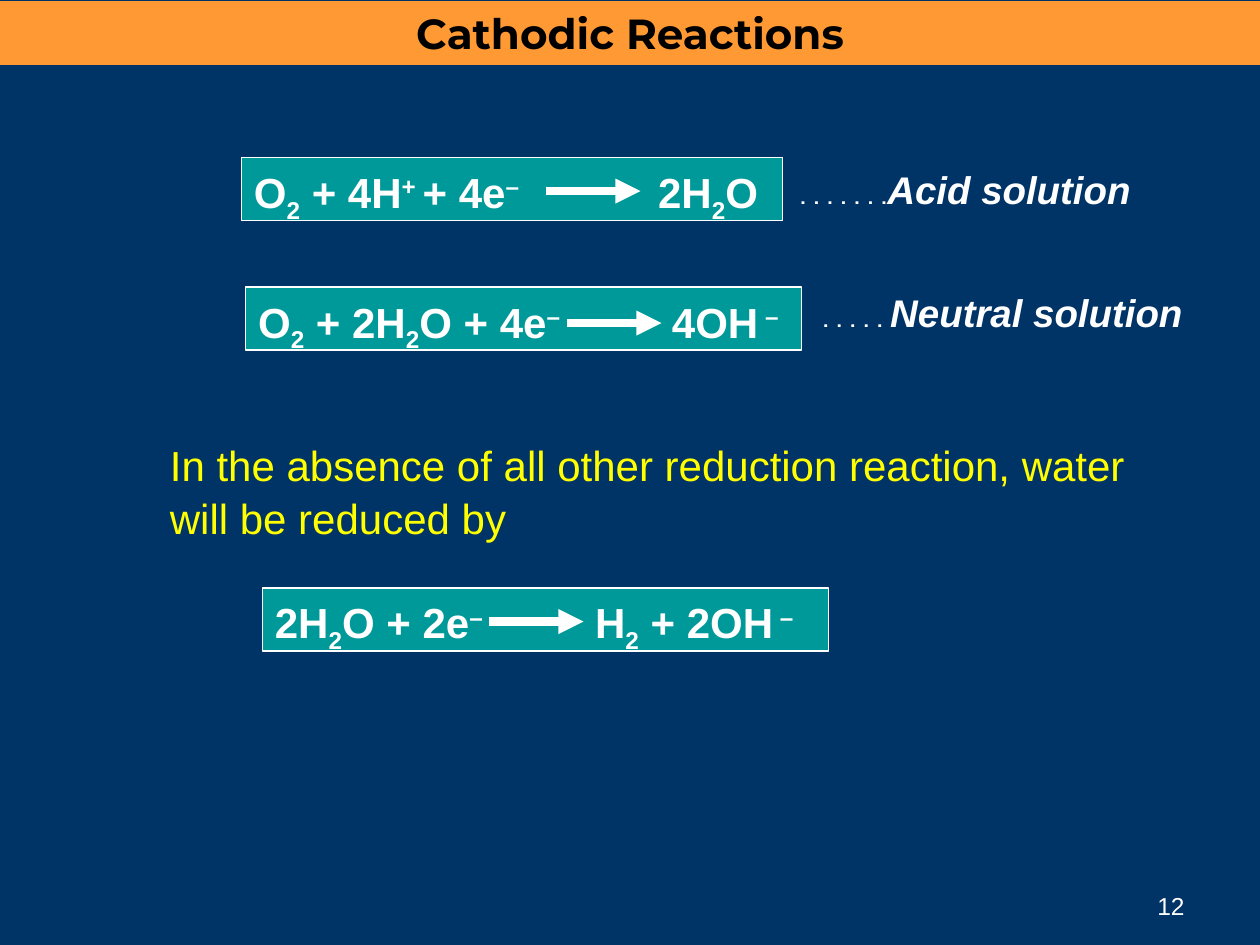
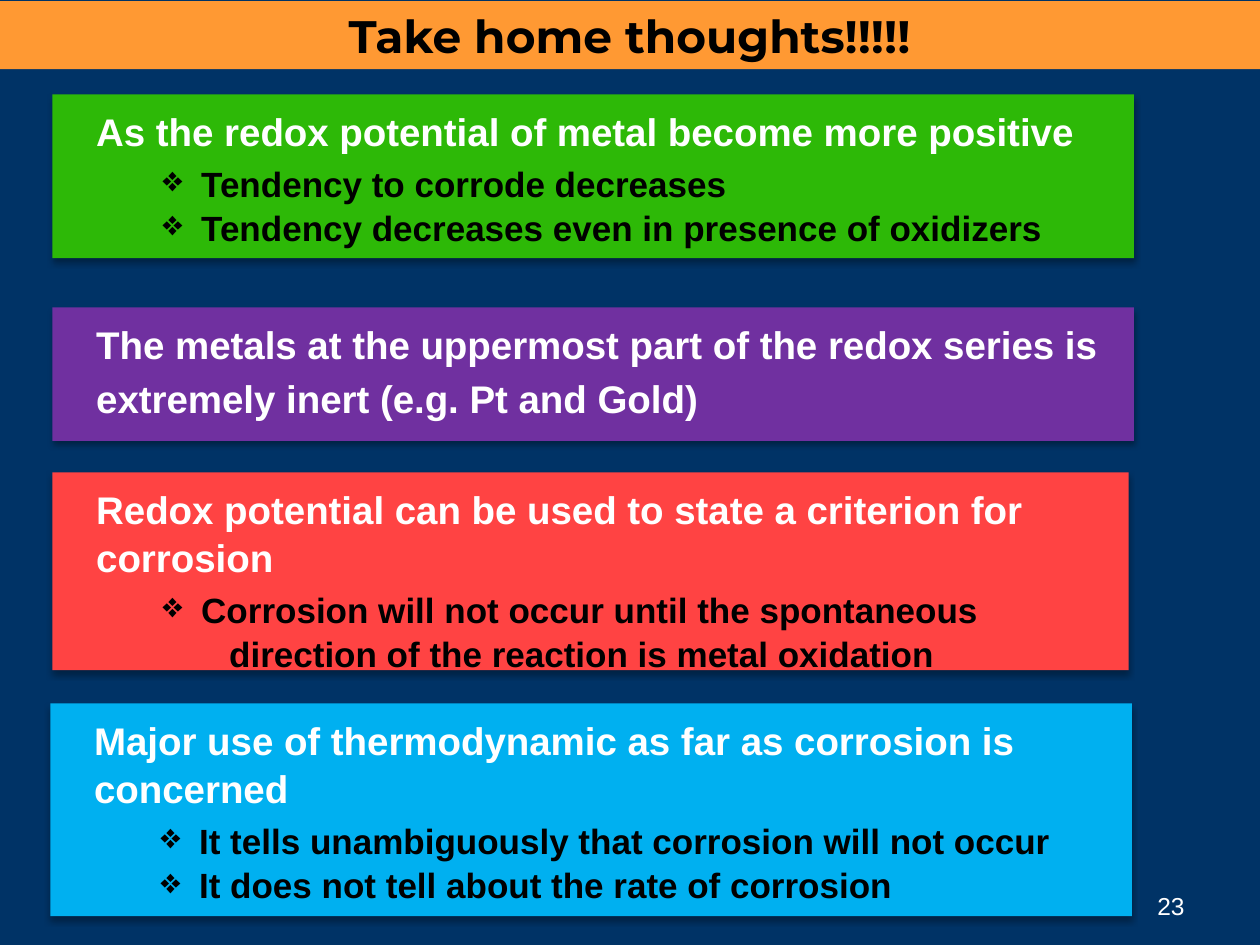
from dataclasses import dataclass
from enum import Enum

from lxml.etree import SubElement
from pptx import Presentation
from pptx.dml.color import RGBColor
from pptx.enum.shapes import MSO_CONNECTOR as Connector, MSO_SHAPE as Shape
from pptx.enum.text import MSO_ANCHOR as Anchor, PP_ALIGN as Align
from pptx.oxml.ns import qn
from pptx.util import Pt

COLORS = {
    "navy": "003366", "orange": "FF9933", "teal": "009999",
    "white": "FFFFFF", "black": "000000", "yellow": "FFFF00",
    "green": "2DB907", "purple": "7030A0", "red": "FF4343", "blue": "00B0F0",
}
BODY_FONT, TITLE_FONT, DOT_FONT = "Arial", "Montserrat", "Cabin"
SLIDE_WIDTH, SLIDE_HEIGHT = 720, 540
LINE_SPACING = 1.05
BASELINES = {"_": "-25000", "^": "30000"}
ARROW_LENGTH = 54


class Style(Enum):
    """Size, colour, left margin, first-line indent, space after."""
    LEAD = (22, "white", 0, 0, 0)
    HEAD = (22, "white", 0, 0, 3.5)
    BULLET = (20, "black", 60, -22, 0)
    CONTINUED = (20, "black", 76, 0, 0)


@dataclass
class Equation:
    left: float
    top: float
    width: float
    formula: str      # parts split by |, with _ for subscript and ^ for superscript
    product_tab: float
    arrow_left: float
    arrow_top: float


@dataclass
class Label:
    left: float
    top: float
    dots: str
    text: str


@dataclass
class Card:
    left: float
    top: float
    width: float
    height: float
    color: str
    lines: list[tuple[Style, str]]


EQUATIONS = [
    Equation(138, 90, 309, "O|_2| + 4H|^+ |+ 4e|^–|\t2H|_2|O", 231, 312, 109.2),
    Equation(140.4, 164, 317.5, "O|_2| + 2H|_2|O + 4e|^–|\t4OH|^ –", 236.5, 324, 184.6),
    Equation(150, 336, 323.5, "2H|_2|O + 2e|^–|\tH|_2| + 2OH|^ –", 183, 279.4, 355.2),
]
LABELS = [
    Label(450, 90, ". . . . . . .", "Acid solution"),
    Label(463, 160.5, ". . . . . ", "Neutral solution"),
]
CARDS = [
    Card(30, 54, 618, 93.6, "green", [
        (Style.HEAD, "As the redox potential of metal become more positive"),
        (Style.BULLET, "Tendency to corrode decreases"),
        (Style.BULLET, "Tendency decreases even in presence of oxidizers"),
    ]),
    Card(30, 175.6, 618, 76.4, "purple", [
        (Style.HEAD, "The metals at the uppermost part of the redox series is"),
        (Style.HEAD, "extremely inert (e.g. Pt and Gold)"),
    ]),
    Card(30, 270, 615, 113, "red", [
        (Style.LEAD, "Redox potential can be used to state a criterion for"),
        (Style.HEAD, "corrosion"),
        (Style.BULLET, "Corrosion will not occur until the spontaneous"),
        (Style.CONTINUED, "direction of the reaction is metal oxidation"),
    ]),
    Card(28.8, 402, 618, 121.6, "blue", [
        (Style.LEAD, "Major use of thermodynamic as far as corrosion is"),
        (Style.HEAD, "concerned"),
        (Style.BULLET, "It tells unambiguously that corrosion will not occur"),
        (Style.BULLET, "It does not tell about the rate of corrosion"),
    ]),
]


def rgb(name: str) -> RGBColor:
    return RGBColor.from_string(COLORS[name])


def format_span(span, size: float, color: str, font: str = BODY_FONT,
                bold: bool = False, italic: bool = False) -> None:
    span.font.name, span.font.size = font, Pt(size)
    span.font.bold, span.font.italic = bold, italic
    span.font.color.rgb = rgb(color)


def add_span(para, text: str):
    span = para.add_run()
    span.text = text
    return span


def add_box(page, left: float, top: float, width: float, height: float,
            fill: str, outline: str | None = None):
    box = page.shapes.add_shape(Shape.RECTANGLE, Pt(left), Pt(top), Pt(width), Pt(height))
    box.shadow.inherit = False
    box.fill.solid()
    box.fill.fore_color.rgb = rgb(fill)
    if outline:
        box.line.color.rgb = rgb(outline)
        box.line.width = Pt(0.75)
    else:
        box.line.fill.background()
    return box


def add_text(page, left: float, top: float, width: float, height: float):
    box = page.shapes.add_textbox(Pt(left), Pt(top), Pt(width), Pt(height))
    box.text_frame.word_wrap = False
    return box.text_frame


def add_page(deck, title: str, title_size: float, band_height: float, number: int):
    """Start a slide with its background, title band and page number."""
    page = deck.slides.add_slide(deck.slide_layouts[6])
    page.background.fill.solid()
    page.background.fill.fore_color.rgb = rgb("navy")

    band = add_box(page, 0, 0.7, SLIDE_WIDTH, band_height, "orange")
    band.text_frame.text = title
    para = band.text_frame.paragraphs[0]
    para.alignment = Align.CENTER
    format_span(para.runs[0], title_size, "black", TITLE_FONT, bold=True)

    frame = add_text(page, 516, 492, 168, 37.5)
    frame.word_wrap = True
    frame.vertical_anchor = Anchor.BOTTOM
    frame.text = str(number)
    frame.paragraphs[0].alignment = Align.RIGHT
    format_span(frame.paragraphs[0].runs[0], 14, "white")
    return page


def add_arrow(page, left: float, top: float) -> None:
    arrow = page.shapes.add_connector(Connector.STRAIGHT, Pt(left), Pt(top),
                                      Pt(left + ARROW_LENGTH), Pt(top))
    arrow.line.color.rgb = rgb("white")
    arrow.line.width = Pt(4.75)
    properties = arrow._element.spPr
    SubElement(properties.find(qn("a:ln")), qn("a:tailEnd"), type="triangle")
    SubElement(properties, qn("a:effectLst"))


def add_equation(page, equation: Equation) -> None:
    box = add_box(page, equation.left, equation.top, equation.width, 36, "teal", "white")
    frame = box.text_frame
    frame.vertical_anchor = Anchor.TOP
    para = frame.paragraphs[0]
    para.alignment = Align.LEFT
    para.line_spacing = LINE_SPACING
    # The tab stop leaves room for the arrow
    tabs = SubElement(para._p.get_or_add_pPr(), qn("a:tabLst"))
    SubElement(tabs, qn("a:tab"), pos=str(Pt(equation.product_tab)), algn="l")
    for part in equation.formula.split("|"):
        baseline = BASELINES.get(part[0])
        span = add_span(para, part[1:] if baseline else part)
        format_span(span, 24, "white", bold=True)
        if baseline:
            span._r.get_or_add_rPr().set("baseline", baseline)
    add_arrow(page, equation.arrow_left, equation.arrow_top)


def add_label(page, label: Label) -> None:
    para = add_text(page, label.left, label.top, 245, 34).paragraphs[0]
    para.line_spacing = LINE_SPACING
    format_span(add_span(para, label.dots), 18, "white", DOT_FONT)
    format_span(add_span(para, label.text), 22, "white", bold=True, italic=True)


def add_card_shadow(box) -> None:
    effects = box._element.spPr.find(qn("a:effectLst"))
    shadow = SubElement(effects, qn("a:outerShdw"), blurRad=str(Pt(3.5)),
                        dist=str(Pt(2.2)), dir="5400000", rotWithShape="0")
    color = SubElement(shadow, qn("a:srgbClr"), val=COLORS["black"])
    SubElement(color, qn("a:alpha"), val="32000")


def add_card(page, card: Card) -> None:
    box = add_box(page, card.left, card.top, card.width, card.height, card.color)
    add_card_shadow(box)
    frame = box.text_frame
    frame.word_wrap = False
    frame.vertical_anchor = Anchor.TOP
    frame.margin_left, frame.margin_top = Pt(25), Pt(6.3)
    frame.text = "\n".join(text for _, text in card.lines)
    for para, (style, _) in zip(frame.paragraphs, card.lines):
        size, color, margin, indent, after = style.value
        para.alignment = Align.LEFT
        para.line_spacing = LINE_SPACING
        para.space_after = Pt(after)
        format_span(para.runs[0], size, color, bold=True)
        properties = para._p.get_or_add_pPr()
        properties.set("marL", str(Pt(margin)))
        properties.set("indent", str(Pt(indent)))
        if style is Style.BULLET:
            SubElement(properties, qn("a:buChar"), char="❖")


def build_reactions(deck) -> None:
    page = add_page(deck, "Cathodic Reactions", 24, 36.4, 12)
    for equation in EQUATIONS:
        add_equation(page, equation)
    for label in LABELS:
        add_label(page, label)
    # Remark above the last equation
    frame = add_text(page, 90, 246, 572, 85)
    frame.text = ("In the absence of all other reduction reaction, water\n"
                  "will be reduced by")
    for para in frame.paragraphs:
        para.line_spacing = LINE_SPACING
        format_span(para.runs[0], 24, "yellow")


def build_thoughts(deck) -> None:
    page = add_page(deck, "Take home thoughts!!!!!", 26, 38.8, 23)
    for card in CARDS:
        add_card(page, card)


deck = Presentation()
deck.slide_width, deck.slide_height = Pt(SLIDE_WIDTH), Pt(SLIDE_HEIGHT)
build_reactions(deck)
build_thoughts(deck)
deck.save("out.pptx")
